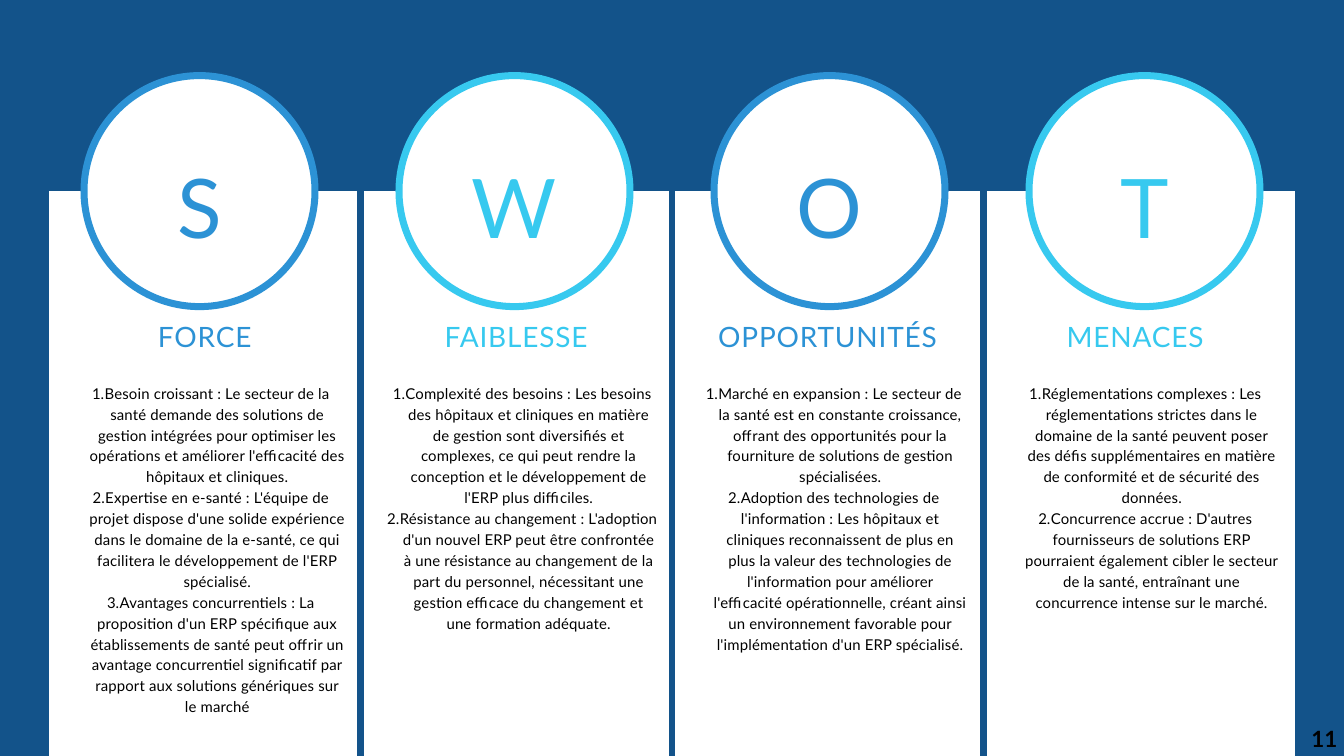
from lxml.etree import SubElement
from pptx import Presentation
from pptx.dml.color import RGBColor
from pptx.enum.shapes import MSO_SHAPE as Shape
from pptx.enum.text import MSO_ANCHOR as Anchor, PP_ALIGN as Align
from pptx.oxml.ns import qn
from pptx.util import Pt

PX = 9525
FONT = "Lato"
COLORS = {
    "navy": "13538A",
    "blue": "2C92D5",
    "cyan": "37C9EF",
    "white": "FFFFFF",
    "black": "000000",
}

SWOT = [
    ("S", "FORCE", "blue", [
        "Besoin croissant : Le secteur de la santé demande des solutions de gestion intégrées pour optimiser les opérations et améliorer l'efficacité des hôpitaux et cliniques.",
        "Expertise en e-santé : L'équipe de projet dispose d'une solide expérience dans le domaine de la e-santé, ce qui facilitera le développement de l'ERP spécialisé.",
        "Avantages concurrentiels : La proposition d'un ERP spécifique aux établissements de santé peut offrir un avantage concurrentiel significatif par rapport aux solutions génériques sur le marché",
    ]),
    ("W", "FAIBLESSE", "cyan", [
        "Complexité des besoins : Les besoins des hôpitaux et cliniques en matière de gestion sont diversifiés et complexes, ce qui peut rendre la conception et le développement de l'ERP plus difficiles.",
        "Résistance au changement : L'adoption d'un nouvel ERP peut être confrontée à une résistance au changement de la part du personnel, nécessitant une gestion efficace du changement et une formation adéquate.",
    ]),
    ("O", "OPPORTUNITÉS", "blue", [
        "Marché en expansion : Le secteur de la santé est en constante croissance, offrant des opportunités pour la fourniture de solutions de gestion spécialisées.",
        "Adoption des technologies de l'information : Les hôpitaux et cliniques reconnaissent de plus en plus la valeur des technologies de l'information pour améliorer l'efficacité opérationnelle, créant ainsi un environnement favorable pour l'implémentation d'un ERP spécialisé.",
    ]),
    ("T", "MENACES ", "cyan", [
        "Réglementations complexes : Les réglementations strictes dans le domaine de la santé peuvent poser des défis supplémentaires en matière de conformité et de sécurité des données.",
        "Concurrence accrue : D'autres fournisseurs de solutions ERP pourraient également cibler le secteur de la santé, entraînant une concurrence intense sur le marché.",
    ]),
]


def px(*lengths):
    return [length * PX for length in lengths]


class SwotSlide:
    def __init__(self, deck):
        self.slide = deck.slides.add_slide(deck.slide_layouts[6])
        self.paint(self.slide.background.fill, "navy")

    def paint(self, fill, color):
        fill.solid()
        fill.fore_color.rgb = RGBColor.from_string(COLORS[color])

    def set_lines(self, frame, lines, size, color, align=Align.CENTER, leading=None,
                  spacing=0, numbered=False, bold=False):
        frame.word_wrap = True
        for index, line in enumerate(lines):
            paragraph = frame.paragraphs[0] if index == 0 else frame.add_paragraph()
            paragraph.text = line
            paragraph.alignment = align
            if leading:
                paragraph.line_spacing = Pt(leading)
            properties = paragraph._p.get_or_add_pPr()
            if numbered:
                paragraph.level = 1
                properties.set("marL", str(36 * PX))
                properties.set("indent", str(-18 * PX))
                SubElement(properties, qn("a:buAutoNum"), type="arabicPeriod")
            font = paragraph.font
            font.name, font.size, font.bold = FONT, Pt(size), bold
            font.color.rgb = RGBColor.from_string(COLORS[color])
            if spacing:
                properties.find(qn("a:defRPr")).set("spc", str(spacing))

    def text(self, shapes, box, line, size, color, inset=None, **style):
        frame = shapes.add_textbox(*px(*box)).text_frame
        frame.vertical_anchor = Anchor.MIDDLE
        if inset is not None:
            frame.margin_left = frame.margin_right = inset * PX
            frame.margin_top = frame.margin_bottom = inset * PX
        self.set_lines(frame, [line], size, color, **style)

    def border(self, cell, visible_sides):
        properties = cell._tc.get_or_add_tcPr()
        for side in "LRTB":
            visible = side in visible_sides
            line = SubElement(properties, qn(f"a:ln{side}"), w=str(Pt(7.5) if visible else 0))
            if visible:
                solid = SubElement(line, qn("a:solidFill"))
                SubElement(solid, qn("a:srgbClr"), val=COLORS["navy"])
            else:
                SubElement(line, qn("a:noFill"))

    def cell(self, cell, visible_sides, anchor, lines, size, color, **style):
        self.border(cell, visible_sides)
        self.paint(cell.fill, "white")
        cell.margin_left = cell.margin_right = 20 * PX
        cell.margin_top = cell.margin_bottom = 20 * PX
        cell.vertical_anchor = anchor
        self.set_lines(cell.text_frame, lines, size, color, **style)

    def table(self, box, row_heights, columns):
        table = self.slide.shapes.add_table(2, len(columns), *px(*box)).table
        table.first_row = table.horz_banding = False
        for row, height in zip(table.rows, row_heights):
            row.height = height * PX
        last = len(columns) - 1
        for index, (_, heading, color, points) in enumerate(columns):
            sides = ("L" if index > 0 else "") + ("R" if index < last else "")
            self.cell(table.cell(0, index), sides, Anchor.BOTTOM, [heading], 30, color,
                      leading=42, spacing=90)
            self.cell(table.cell(1, index), sides, Anchor.TOP, points, 16, "black",
                      leading=22.4, spacing=20, numbered=True)

    def badge(self, left, top, diameter, letter, color):
        shapes = self.slide.shapes.add_group_shape().shapes
        circle = shapes.add_shape(Shape.OVAL, *px(left, top, diameter, diameter))
        circle.shadow.inherit = False
        self.paint(circle.fill, "white")
        self.paint(circle.line.fill, color)
        circle.line.width = Pt(7.5)
        self.text(shapes, (left + 31, top + 96, 268, 203), letter, 88, color,
                  inset=0, leading=88)

    def page_number(self, box, number):
        self.text(self.slide.shapes, box, number, 24, "black", align=Align.RIGHT, bold=True)


def main():
    deck = Presentation()
    deck.slide_width, deck.slide_height = px(1920, 1080)
    swot = SwotSlide(deck)
    swot.table((70, 273, 1780, 807), (252, 555), SWOT)
    for index, (letter, _, color, _) in enumerate(SWOT):
        swot.badge(120 + 450 * index, 108, 330, letter, color)
    swot.page_number((1856, 1031, 64, 49), "11")
    deck.save("out.pptx")


if __name__ == "__main__":
    main()
